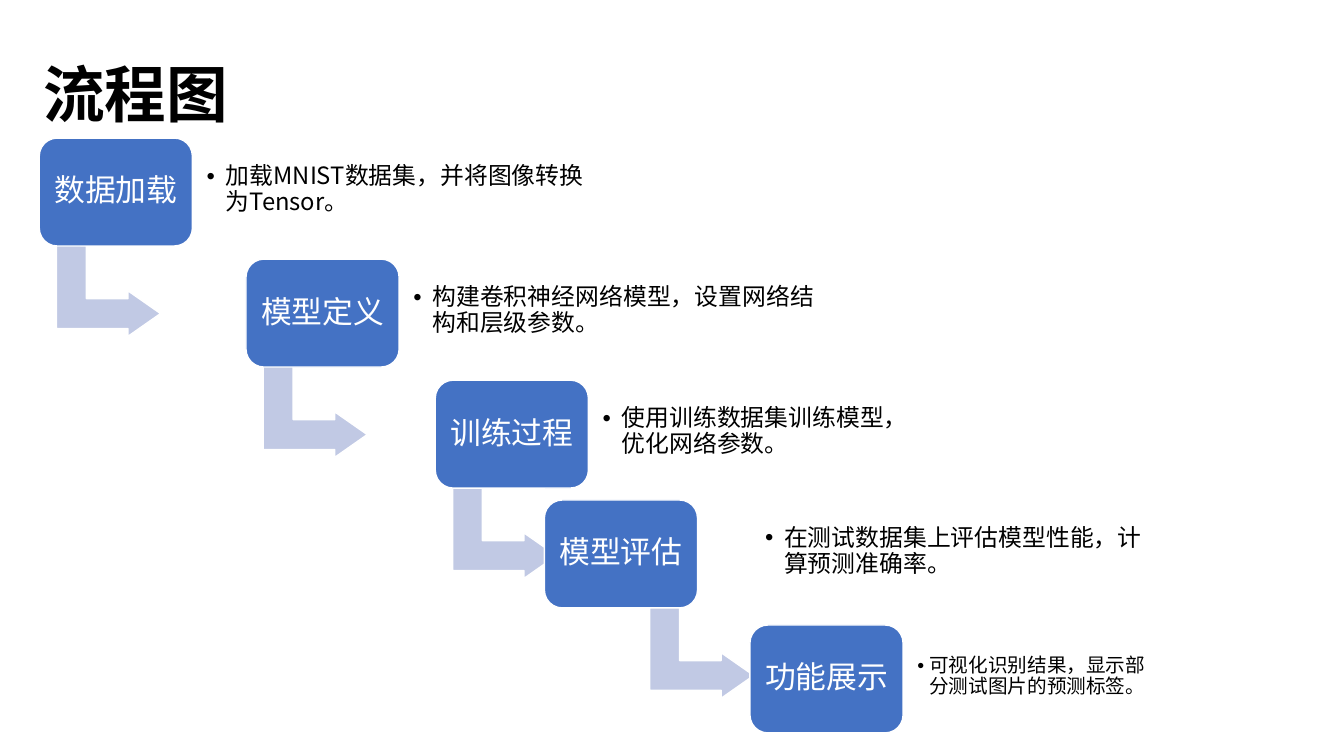
from lxml import etree
from pptx import Presentation
from pptx.dml.color import RGBColor
from pptx.enum.shapes import MSO_SHAPE
from pptx.enum.text import MSO_ANCHOR, PP_ALIGN
from pptx.oxml.ns import qn
from pptx.util import Cm, Pt

ROUNDED = MSO_SHAPE.ROUNDED_RECTANGLE
BENT_ARROW = MSO_SHAPE.BENT_UP_ARROW
MIDDLE = MSO_ANCHOR.MIDDLE
LEFT, CENTER = PP_ALIGN.LEFT, PP_ALIGN.CENTER

FONT = "Noto Sans CJK SC"
COLORS = {"text": "000000", "white": "FFFFFF", "box": "4472C4", "arrow": "C1C9E4"}
BOX_WIDTH, BOX_HEIGHT = 3.86, 2.72
ARROW_WIDTH, ARROW_HEIGHT, ARROW_DROP = 2.29, 2.62, 2.54
NOTE_HEIGHT, NOTE_DROP = 2.18, 0.22

STEPS = [
    {"name": "数据加载", "at": (0.99, 3.48), "arrow": 0.6, "note_at": 3.99, "note_width": 10.19,
     "note": "加载MNIST数据集，并将图像转换为Tensor。"},
    {"name": "模型定义", "at": (6.2, 6.53), "arrow": 0.6, "note_at": 3.99, "note_width": 11.02,
     "note": "构建卷积神经网络模型，设置网络结构和层级参数。"},
    {"name": "训练过程", "at": (10.97, 9.58), "arrow": 0.6, "note_at": 3.99, "note_width": 8.28,
     "note": "使用训练数据集训练模型，优化网络参数。"},
    {"name": "模型评估", "at": (13.72, 12.6), "arrow": 2.82, "note_at": 5.33, "note_width": 10.52,
     "note": "在测试数据集上评估模型性能，计算预测准确率。"},
    {"name": "功能展示", "at": (18.9, 15.75), "arrow": None, "note_at": 4.04, "note_width": 6.5,
     "note": "可视化识别结果，显示部分测试图片的预测标签。",
     "size": 14, "inset": 0.18, "indent": 0.3},
]


def write_text(shape, text, size, color, alignment, inset=0.23, bold=False):
    frame = shape.text_frame
    frame.word_wrap = True
    frame.vertical_anchor = MIDDLE
    frame.margin_left = frame.margin_right = Cm(inset)
    frame.margin_top = frame.margin_bottom = Cm(inset)
    frame.text = text
    paragraph = frame.paragraphs[0]
    paragraph.alignment = alignment
    paragraph.line_spacing = 0.9
    font = paragraph.font
    font.size, font.bold, font.name = Pt(size), bold, FONT
    font.color.rgb = RGBColor.from_string(COLORS[color])
    defaults = paragraph._p.get_or_add_pPr().find(qn("a:defRPr"))
    etree.SubElement(defaults, qn("a:ea"), typeface=FONT)
    return paragraph


def add_bullet(paragraph, indent):
    properties = paragraph._p.get_or_add_pPr()
    properties.set("marL", str(Cm(indent)))
    properties.set("indent", str(-Cm(indent)))
    defaults = properties.find(qn("a:defRPr"))
    for tag, attributes in (("a:buFont", {"typeface": "Arial"}), ("a:buChar", {"char": "•"})):
        defaults.addprevious(etree.Element(qn(tag), attributes))


def add_filled_shape(slide, preset, left, top, width, height, color):
    shape = slide.shapes.add_shape(preset, Cm(left), Cm(top), Cm(width), Cm(height))
    shape.shadow.inherit = False
    shape.fill.solid()
    shape.fill.fore_color.rgb = RGBColor.from_string(COLORS[color])
    shape.line.color.rgb = RGBColor.from_string(COLORS["white"])
    shape.line.width = Pt(1)
    return shape


def add_title(slide, left, top, width, height):
    title = slide.shapes.title
    title.left, title.top, title.width, title.height = Cm(left), Cm(top), Cm(width), Cm(height)
    write_text(title, "流程图", 44, "text", LEFT, bold=True)


def add_step(slide, step):
    left, top = step["at"]
    if step["arrow"] is not None:
        arrow = add_filled_shape(slide, BENT_ARROW, left + step["arrow"], top + ARROW_DROP,
                                 ARROW_WIDTH, ARROW_HEIGHT, "arrow")
        arrow.rotation = 90
        for index, value in enumerate((0.328, 0.25, 0.358)):
            arrow.adjustments[index] = value

    box = add_filled_shape(slide, ROUNDED, left, top, BOX_WIDTH, BOX_HEIGHT, "box")
    write_text(box, step["name"], 22, "white", CENTER)

    note = slide.shapes.add_textbox(Cm(left + step["note_at"]), Cm(top + NOTE_DROP),
                                    Cm(step["note_width"]), Cm(NOTE_HEIGHT))
    paragraph = write_text(note, step["note"], step.get("size", 17), "text", LEFT,
                           step.get("inset", 0.23))
    add_bullet(paragraph, step.get("indent", 0.48))


def main():
    presentation = Presentation()
    presentation.slide_width, presentation.slide_height = Cm(33.87), Cm(19.05)
    slide = presentation.slides.add_slide(presentation.slide_layouts[5])
    add_title(slide, 0.86, 0.61, 29.21, 3.68)
    for step in STEPS:
        add_step(slide, step)
    presentation.save("out.pptx")


if __name__ == "__main__":
    main()
